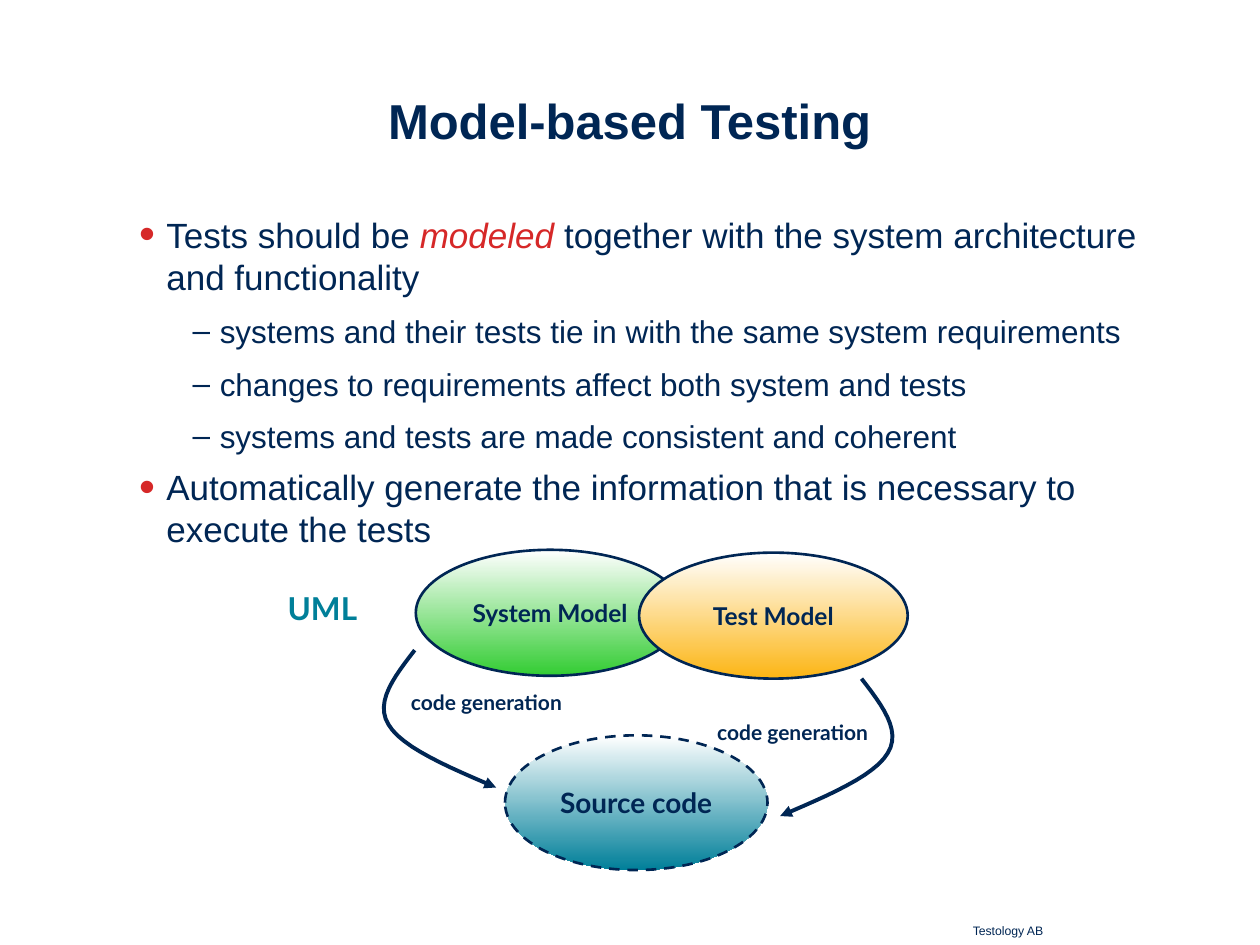
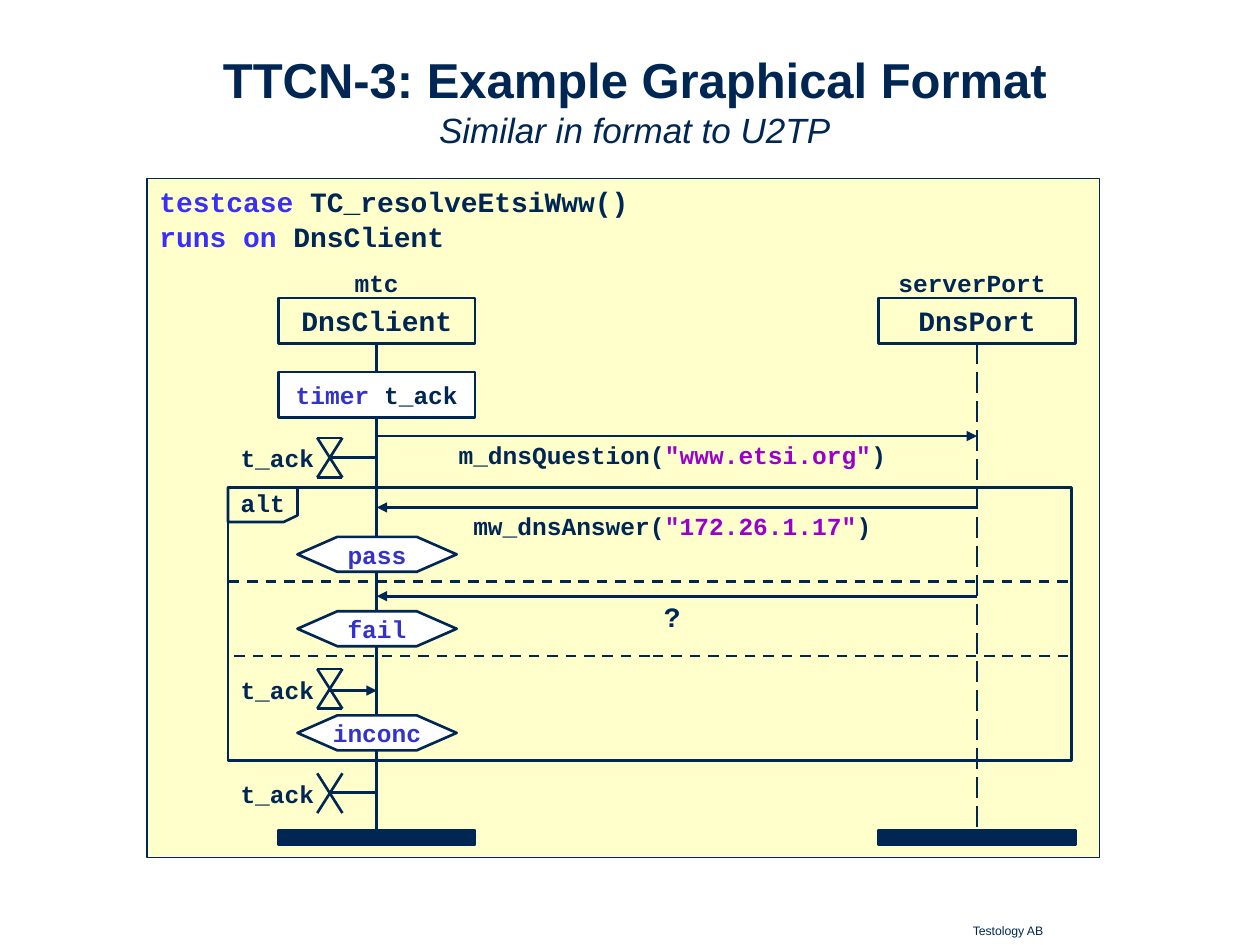
"""Build two slides on model-based testing and the TTCN-3 graphical format."""
from lxml.etree import SubElement
from pptx import Presentation
from pptx.dml.color import RGBColor
from pptx.enum.dml import MSO_LINE
from pptx.enum.shapes import MSO_CONNECTOR, MSO_SHAPE
from pptx.enum.text import MSO_ANCHOR, PP_ALIGN
from pptx.oxml.ns import qn
from pptx.shapes.connector import Connector
from pptx.util import Pt

NAVY = RGBColor(0x00, 0x26, 0x54)
RED = RGBColor(0xD6, 0x28, 0x28)
TEAL = RGBColor(0x00, 0x7F, 0x99)
GREEN = RGBColor(0x33, 0xCC, 0x33)
AMBER = RGBColor(0xFC, 0xB5, 0x14)
WHITE = RGBColor(0xFF, 0xFF, 0xFF)
CREAM = RGBColor(0xFF, 0xFF, 0xCC)
KEYWORD = RGBColor(0x39, 0x2F, 0xF9)
VERDICT = RGBColor(0x33, 0x33, 0xCC)
STRING = RGBColor(0x99, 0x00, 0xCC)
SANS, LABEL, CODE = "Arial", "Lato", "Courier New"


def write(shape, *runs, size=14, font=CODE, color=NAVY, bold=True, italic=False,
          align=PP_ALIGN.CENTER, anchor=MSO_ANCHOR.TOP, wrap=False,
          line_spacing=None, space_before=0, bullet=None):
    """Add one paragraph; a run is a string or a (string, format changes) pair."""
    frame = shape.text_frame
    frame.word_wrap = wrap
    frame.vertical_anchor = anchor
    paragraph = frame.paragraphs[0]
    if frame.text:
        paragraph = frame.add_paragraph()
        paragraph.space_before = Pt(space_before)
    paragraph.alignment = align
    if line_spacing:
        paragraph.line_spacing = Pt(line_spacing)
    if bullet:
        character, bullet_color, percent, margin = bullet
        properties = paragraph._p.get_or_add_pPr()
        properties.set("marL", str(Pt(margin)))
        properties.set("indent", str(Pt(-15.5)))
        SubElement(SubElement(properties, qn("a:buClr")), qn("a:srgbClr"), val=str(bullet_color))
        SubElement(properties, qn("a:buSzPct"), val=str(percent * 1000))
        SubElement(properties, qn("a:buFont"), typeface=SANS)
        SubElement(properties, qn("a:buChar"), char=character)
    for item in runs:
        text, changes = item if isinstance(item, tuple) else (item, {})
        run = paragraph.add_run()
        run.text = text
        run.font.name = font
        run.font.size = Pt(size)
        run.font.bold = bold
        run.font.italic = changes.get("italic", italic)
        run.font.color.rgb = changes.get("color", color)


def draw(shape, fill=None, gradient=None, width=1.5, dash=None, arrow=False):
    """Style the fill and line of a shape or connector."""
    shape.line.color.rgb = NAVY
    shape.line.width = Pt(width)
    if dash:
        shape.line.dash_style = dash
    if arrow:
        SubElement(shape.get_or_add_ln(), qn("a:tailEnd"), type="triangle")
    if isinstance(shape, Connector):
        SubElement(shape._element.spPr, qn("a:effectLst"))
        return shape
    shape.shadow.inherit = False
    if gradient:
        shape.fill.gradient()
        shape.fill.gradient_angle = 270
        for stop, stop_color in zip(shape.fill.gradient_stops, (WHITE, gradient)):
            stop.color.rgb = stop_color
    elif fill is not None:
        shape.fill.solid()
        shape.fill.fore_color.rgb = fill
    else:
        shape.fill.background()
    return shape


presentation = Presentation()
presentation.slide_width = Pt(720)
presentation.slide_height = Pt(540)

slides = []
for title, subtitle, left, top in (
    ("Model-based Testing", None, 57, 23.6),
    ("TTCN-3: Example Graphical Format", "Similar in format to U2TP", 60, 12),
):
    slide = presentation.slides.add_slide(presentation.slide_layouts[6])
    slides.append(slide)
    footer = slide.shapes.add_textbox(Pt(548.8), Pt(524.3), Pt(70), Pt(16))
    write(footer, "Testology AB", size=7, font=SANS, bold=False, align=PP_ALIGN.LEFT, wrap=True)
    title_box = slide.shapes.add_textbox(Pt(left), Pt(top), Pt(605.5), Pt(90))
    write(title_box, title, size=28, font=SANS, anchor=MSO_ANCHOR.MIDDLE, wrap=True)
    if subtitle:
        write(title_box, subtitle, size=20, font=SANS, bold=False, italic=True,
              anchor=MSO_ANCHOR.MIDDLE, wrap=True)

shapes = slides[0].shapes
body = shapes.add_textbox(Pt(57.5), Pt(118.3), Pt(605), Pt(381))
for level, runs in (
    (0, ("Tests should be ", ("modeled", {"color": RED, "italic": True}),
         " together with the system architecture and functionality")),
    (1, ("systems and their tests tie in with the same system requirements",)),
    (1, ("changes to requirements affect both system and tests",)),
    (1, ("systems and tests are made consistent and coherent",)),
    (0, ("Automatically generate the information that is necessary to execute the tests",)),
):
    bullet = ("–", NAVY, 100, 61) if level else ("•", RED, 130, 30.5)
    write(body, *runs, size=18 if level else 20, font=SANS, bold=False, align=PP_ALIGN.LEFT,
          wrap=True, line_spacing=24, space_before=6, bullet=bullet)

for text, box, gradient, size, dash in (
    ("System Model", (237.6, 314.2, 153.5, 72), GREEN, 14, None),
    ("Source code", (288.6, 420.2, 150, 77), TEAL, 16, MSO_LINE.DASH),
    ("Test Model", (365.2, 315.8, 153.5, 72), AMBER, 14, None),
):
    model = draw(shapes.add_shape(MSO_SHAPE.OVAL, *map(Pt, box)), gradient=gradient, dash=dash)
    write(model, text, size=size, font=LABEL, anchor=MSO_ANCHOR.MIDDLE)

for text, box, size, color in (
    ("UML", (154.2, 333, 60, 28.8), 18, TEAL),
    ("code generation", (218, 390.5, 120, 21.6), 12, NAVY),
    ("code generation", (393, 407.5, 120, 21.6), 12, NAVY),
):
    write(shapes.add_textbox(*map(Pt, box)), text, size=size, font=LABEL, color=color)

bend = ((237, 371.5), (225.5, 386.5), (214, 401), (222, 414),
        (229.5, 427), (256.5, 438.5), (283.5, 450))
curve = []
for first in (0, 3):
    controls = bend[first:first + 4]
    for step in range(1, 13):
        t = step / 12
        weights = ((1 - t) ** 3, 3 * t * (1 - t) ** 2, 3 * t * t * (1 - t), t ** 3)
        curve.append([sum(weight * point[axis] for weight, point in zip(weights, controls))
                      for axis in (0, 1)])
for offset, direction, drop in ((0, 1, 0), (729.3, -1, 16.3)):
    points = [(Pt(offset + direction * x), Pt(y + drop)) for x, y in (bend[0], *curve)]
    builder = shapes.build_freeform(*points[0])
    builder.add_line_segments(points[1:], close=False)
    draw(builder.convert_to_shape(), width=2.25, arrow=True)

shapes = slides[1].shapes
panel = draw(shapes.add_shape(MSO_SHAPE.RECTANGLE, Pt(84), Pt(102), Pt(544.5), Pt(388.2)),
             fill=CREAM, width=0.75)
for keyword, name in (("testcase", " TC_resolveEtsiWww()"), ("runs on", " DnsClient")):
    write(panel, (keyword, {"color": KEYWORD}), name, size=16, align=PP_ALIGN.LEFT,
          wrap=True, space_before=0.5)

CLIENT, PORT = 215.3, 558.3
HEAD_WIDTH, HEAD_HEIGHT = 112.5, 26
for center, label_center, label, name, dash in (
    (CLIENT, 215.3, "mtc", "DnsClient", None),
    (PORT, 555.5, "serverPort", "DnsPort", MSO_LINE.LONG_DASH),
):
    left = Pt(center - HEAD_WIDTH / 2)
    head = draw(shapes.add_shape(MSO_SHAPE.RECTANGLE, left, Pt(170.2), Pt(HEAD_WIDTH), Pt(HEAD_HEIGHT)))
    write(head, name, size=16, anchor=MSO_ANCHOR.MIDDLE)
    write(shapes.add_textbox(Pt(label_center - 59.5), Pt(149.6), Pt(119), Pt(24.5)), label)
    bar = draw(shapes.add_shape(MSO_SHAPE.RECTANGLE, left, Pt(474.2), Pt(HEAD_WIDTH), Pt(8.6)),
               fill=NAVY)
    lifeline = shapes.add_connector(MSO_CONNECTOR.STRAIGHT, Pt(center), Pt(196.2), Pt(center), Pt(474.2))
    lifeline.begin_connect(head, 2)
    lifeline.end_connect(bar, 0)
    draw(lifeline, dash=dash)

timer = draw(shapes.add_shape(MSO_SHAPE.RECTANGLE, Pt(CLIENT - HEAD_WIDTH / 2), Pt(212.5),
                              Pt(HEAD_WIDTH), Pt(HEAD_HEIGHT)), fill=WHITE)
write(timer, ("timer", {"color": VERDICT}), " t_ack", anchor=MSO_ANCHOR.MIDDLE)

for top, height, dash in ((278.5, 156.2, None), (332.3, 42.5, MSO_LINE.DASH)):
    draw(shapes.add_shape(MSO_SHAPE.RECTANGLE, Pt(130.3), Pt(top), Pt(482), Pt(height)), dash=dash)
corners = [(Pt(x), Pt(y)) for x, y in
           ((130.3, 278.5), (170, 278.5), (170, 294.5), (162, 298.3), (130.3, 298.3))]
builder = shapes.build_freeform(*corners[0])
builder.add_line_segments(corners[1:], close=True)
tab = draw(builder.convert_to_shape())
tab.text_frame.margin_top, tab.text_frame.margin_bottom = Pt(0), Pt(2)
write(tab, "alt", anchor=MSO_ANCHOR.MIDDLE)

for y, start, end, size, runs in (
    (249.2, CLIENT, PORT, 14, ("m_dnsQuestion(", ("\"www.etsi.org\"", {"color": STRING}), ")")),
    (290, PORT, CLIENT, 14, ("mw_dnsAnswer(", ("\"172.26.1.17\"", {"color": STRING}), ")")),
    (340.7, PORT, CLIENT, 16, ("?",)),
):
    draw(shapes.add_connector(MSO_CONNECTOR.STRAIGHT, Pt(start), Pt(y), Pt(end), Pt(y)), arrow=True)
    write(shapes.add_textbox(Pt(254.7), Pt(y - 1.5), Pt(259), Pt(24.5)), *runs, size=size)

GLASS_LEFT, GLASS_RIGHT, GLASS_HEIGHT = 181.3, 195.7, 22.7
for top, middle, capped, arrow in (
    (250.2, 261.5, True, False),
    (382.3, 394.6, True, True),
    (441.9, 453, False, False),
):
    bottom = top + GLASS_HEIGHT
    strokes = [(GLASS_LEFT, top, GLASS_RIGHT, bottom), (GLASS_LEFT, bottom, GLASS_RIGHT, top)]
    if capped:
        strokes += [(GLASS_LEFT, y, GLASS_RIGHT, y) for y in (top, bottom)]
    for stroke in strokes:
        draw(shapes.add_connector(MSO_CONNECTOR.STRAIGHT, *map(Pt, stroke)))
    draw(shapes.add_connector(MSO_CONNECTOR.STRAIGHT, Pt(187.5), Pt(middle), Pt(CLIENT), Pt(middle)),
         arrow=arrow)
    write(shapes.add_textbox(Pt(123.5), Pt(top - 0.3), Pt(70), Pt(24.5)), "t_ack")

for verdict, top in (("pass", 306.8), ("fail", 349.3), ("inconc", 408.8)):
    hexagon = draw(shapes.add_shape(MSO_SHAPE.HEXAGON, Pt(170), Pt(top), Pt(91), Pt(20)), fill=WHITE)
    hexagon.adjustments[0] = 1.14
    write(hexagon, verdict, color=VERDICT, anchor=MSO_ANCHOR.MIDDLE)

presentation.save("out.pptx")
